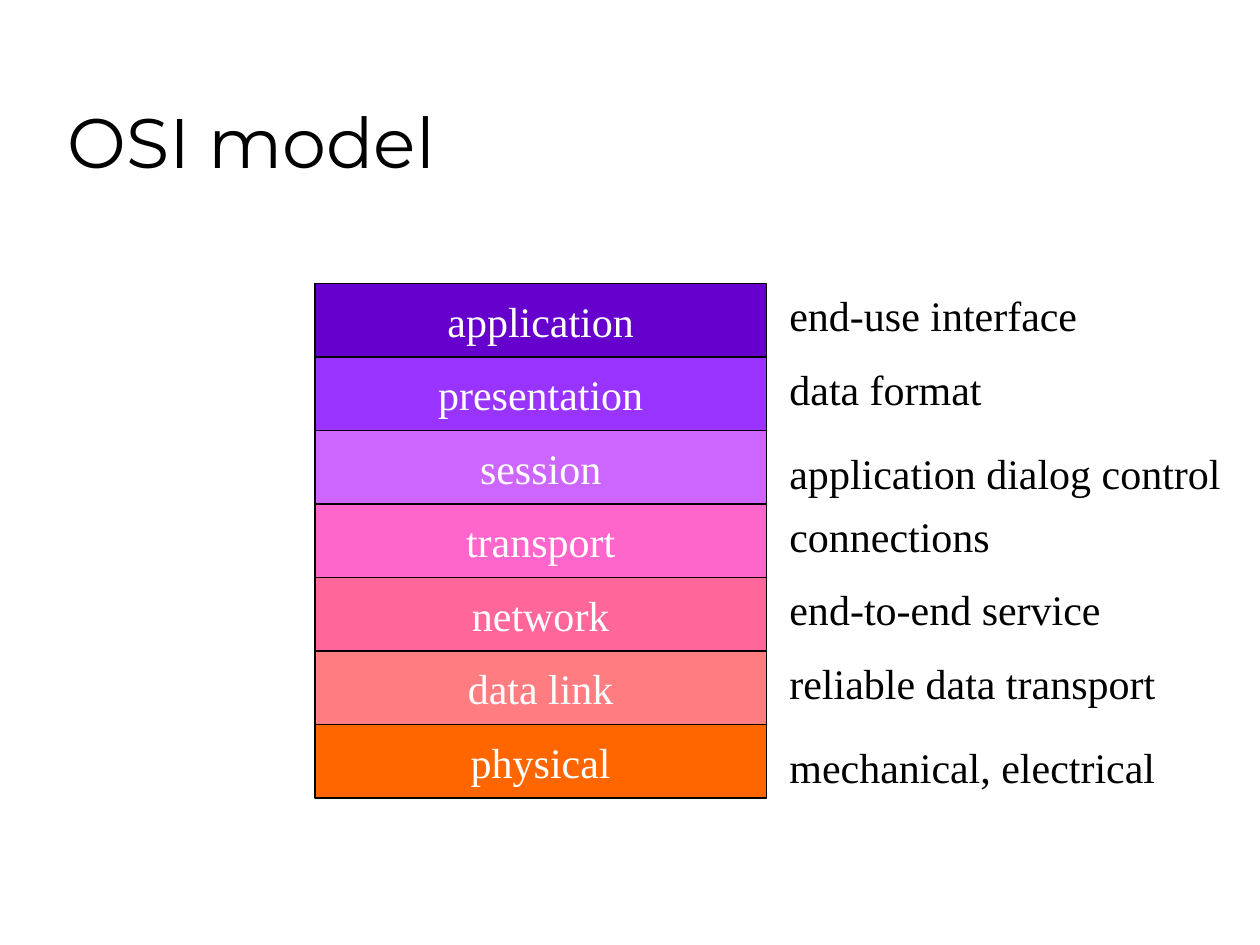
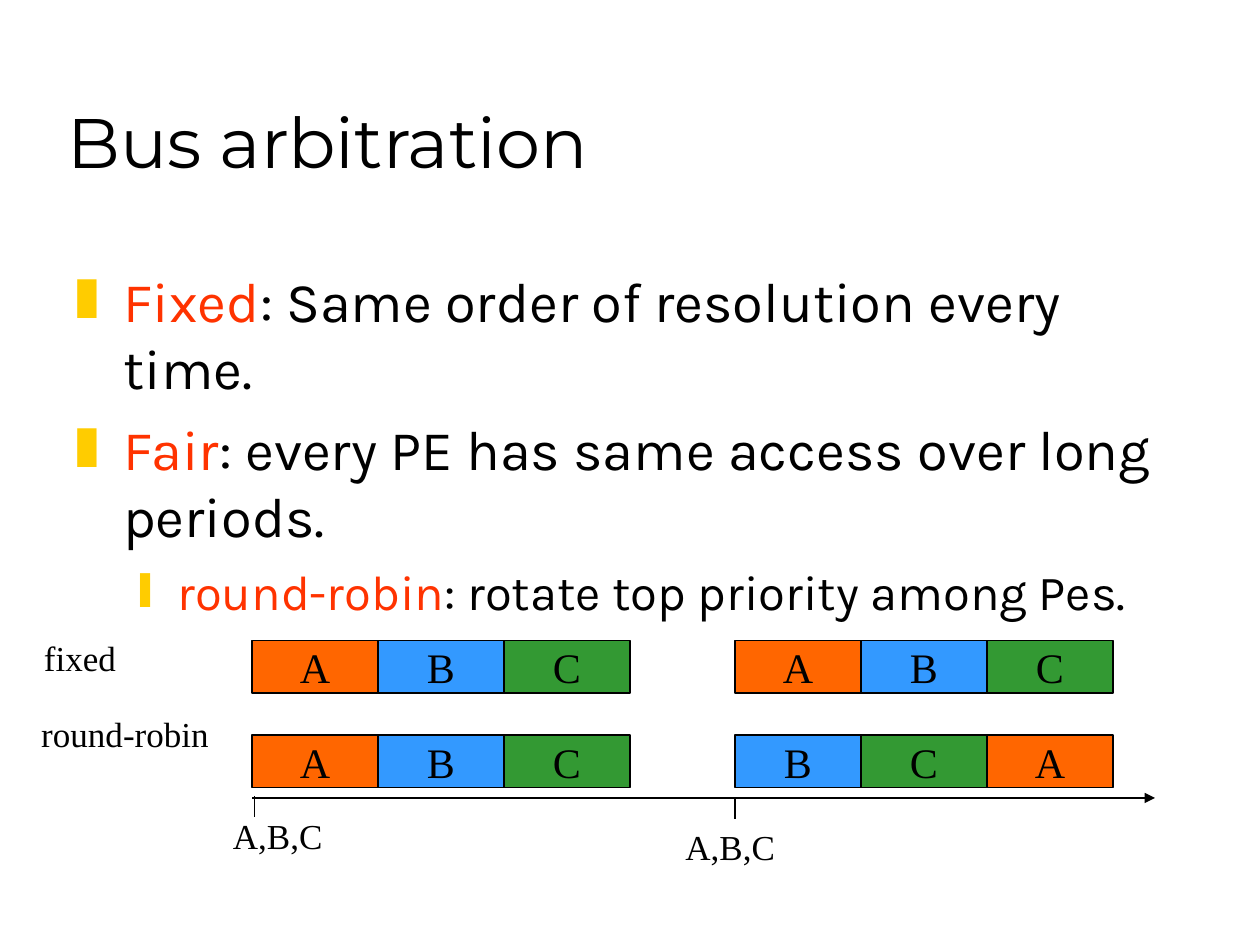
from collections import namedtuple

from lxml.etree import SubElement
from pptx import Presentation
from pptx.dml.color import RGBColor
from pptx.enum.shapes import MSO_CONNECTOR, MSO_SHAPE
from pptx.enum.text import MSO_ANCHOR, PP_ALIGN
from pptx.oxml.ns import qn
from pptx.util import Inches, Pt

Box = namedtuple("Box", "left top width height")

COLUMNS_PER_INCH = 12
COLORS = {
    "ink": "000000",
    "paper": "FFFFFF",
    "term": "FF3300",
    "bullet": "FFCC00",
    "application": "6600CC",
    "presentation": "9933FF",
    "session": "CC66FF",
    "transport": "FF66CC",
    "network": "FF6699",
    "data link": "FF7C80",
    "physical": "FF6600",
    "A": "FF6600",
    "B": "3399FF",
    "C": "339933",
}
TITLE_FONT, BODY_FONT, DIAGRAM_FONT = "Montserrat", "Karla", "Times New Roman"
TITLE_BOX = Box(5.25, 3, 102, 15)

Layer = namedtuple("Layer", "name role role_width drop")
LAYERS = [
    Layer("application", "end-use interface", 31, 0),
    Layer("presentation", "data format", 22, 0),
    Layer("session", "application dialog control", 45, 1),
    Layer("transport", "connections", 23, 0),
    Layer("network", "end-to-end service", 33, 0),
    Layer("data link", "reliable data transport", 38, 0),
    Layer("physical", "mechanical, electrical", 38, 1),
]

Level = namedtuple("Level", "size before margin hanging bullet")
LEVELS = [Level(32, 8, 0.38, 0.38, "❚"), Level(28, 7, 0.81, 0.31, "❙")]
POLICIES = [
    (0, "Fixed", ": Same order of resolution every time."),
    (0, "Fair", ": every PE has same access over long periods."),
    (1, "round-robin", ": rotate top priority among Pes."),
]

Schedule = namedtuple("Schedule", "name label_box rounds")
SCHEDULES = [
    Schedule("fixed", Box(-21, -1, 10, 5.25), ["ABC", "ABC"]),
    Schedule("round-robin", Box(-21.25, -2.75, 19, 5.25), ["ABC", "BCA"]),
]
ROUND_STEP = 46


def grid(count):
    """Turn a number of grid columns or rows into a length."""
    return Inches(count / COLUMNS_PER_INCH)


def color(name):
    """Look up a named colour."""
    return RGBColor.from_string(COLORS[name])


def add_run(paragraph, text, font_name, size, color_name):
    """Append one styled run to a paragraph."""
    run = paragraph.add_run()
    run.text = text
    run.font.name = font_name
    run.font.size = Pt(size)
    run.font.color.rgb = color(color_name)


def add_text_box(slide, box):
    """Add an empty wrapping text box and return its frame."""
    frame = slide.shapes.add_textbox(*map(grid, box)).text_frame
    frame.word_wrap = True
    return frame


def add_label(slide, box, text, size):
    """Add a one-line diagram label."""
    frame = add_text_box(slide, box)
    add_run(frame.paragraphs[0], text, DIAGRAM_FONT, size, "ink")


def add_block(slide, box, name, text_color):
    """Add an outlined block filled with the colour of its name."""
    shape = slide.shapes.add_shape(MSO_SHAPE.RECTANGLE, *map(grid, box))
    shape.shadow.inherit = False
    shape.fill.solid()
    shape.fill.fore_color.rgb = color(name)
    shape.line.color.rgb = color("ink")
    shape.line.width = Pt(0.75)
    frame = shape.text_frame
    frame.word_wrap = False
    frame.vertical_anchor = MSO_ANCHOR.MIDDLE
    paragraph = frame.paragraphs[0]
    paragraph.alignment = PP_ALIGN.CENTER
    add_run(paragraph, name, DIAGRAM_FONT, 24, text_color)


def add_line(slide, left, top, width, height, arrow=False):
    """Add a thin straight line, with an arrowhead if asked."""
    ends = map(grid, (left, top, left + width, top + height))
    line = slide.shapes.add_connector(MSO_CONNECTOR.STRAIGHT, *ends)
    line.line.color.rgb = color("ink")
    line.line.width = Pt(0.75)
    properties = line._element.spPr
    if arrow:
        SubElement(properties.find(qn("a:ln")), qn("a:tailEnd"), type="triangle")
    SubElement(properties, qn("a:effectLst"))


def add_title(slide, box, text):
    """Add the slide title at the foot of its box."""
    frame = add_text_box(slide, box)
    frame.vertical_anchor = MSO_ANCHOR.BOTTOM
    add_run(frame.paragraphs[0], text, TITLE_FONT, 40, "ink")


def add_layer_stack(slide, box):
    """Stack the network layers with the role of each beside it."""
    height = box.height / len(LAYERS)
    for row, layer in enumerate(LAYERS):
        top = box.top + row * height
        add_block(slide, Box(box.left, top, box.width, height), layer.name, "paper")
        role_box = Box(box.left + box.width + 1, top + layer.drop, layer.role_width, 6)
        add_label(slide, role_box, layer.role, 24)


def set_bullet(paragraph, level):
    """Give a paragraph the hanging bullet of its level."""
    properties = paragraph._p.get_or_add_pPr()
    properties.set("marL", str(Inches(level.margin)))
    properties.set("indent", str(-Inches(level.hanging)))
    bullet_color = SubElement(properties, qn("a:buClr"))
    SubElement(bullet_color, qn("a:srgbClr"), val=COLORS["bullet"])
    SubElement(properties, qn("a:buFont"), typeface=DIAGRAM_FONT)
    SubElement(properties, qn("a:buChar"), char=level.bullet)


def add_policy_list(slide, box):
    """List the arbitration policies with highlighted terms."""
    frame = add_text_box(slide, box)
    for index, (depth, term, meaning) in enumerate(POLICIES):
        paragraph = frame.add_paragraph() if index else frame.paragraphs[0]
        level = LEVELS[depth]
        paragraph.level = depth
        set_bullet(paragraph, level)
        if index:
            paragraph.space_before = Pt(level.before)
        add_run(paragraph, term, BODY_FONT, level.size, "term")
        add_run(paragraph, meaning, BODY_FONT, level.size, "ink")


def add_schedules(slide, box):
    """Draw the grant order of each policy over two rounds."""
    block_width, block_height, row_step = 12, 5, 9
    for row, schedule in enumerate(SCHEDULES):
        top = box.top + row * row_step
        offset = schedule.label_box
        label_box = offset._replace(left=box.left + offset.left, top=top + offset.top)
        add_label(slide, label_box, schedule.name, 20)
        for number, order in enumerate(schedule.rounds):
            start = box.left + number * ROUND_STEP
            for position, name in enumerate(order):
                left = start + position * block_width
                add_block(slide, Box(left, top, block_width, block_height), name, "ink")


def add_time_axis(slide, box):
    """Draw the time arrow with a tick and requests at each round."""
    add_line(slide, box.left, box.top, box.width, 0, arrow=True)
    requests = [(0.25, -0.15, -3, 1), (ROUND_STEP, 0, -5.9, 2)]
    for tick, rise, shift, drop in requests:
        add_line(slide, box.left + tick, box.top + rise, 0, 2)
        start = box.left + round(tick)
        add_label(slide, Box(start + shift, box.top + drop, 12, 5.25), "A,B,C", 20)


def add_slide(presentation, title):
    """Add a blank slide with a title."""
    slide = presentation.slides.add_slide(presentation.slide_layouts[6])
    add_title(slide, TITLE_BOX, title)
    return slide


def main():
    """Build both slides and save them."""
    presentation = Presentation()
    presentation.slide_width = grid(120)
    presentation.slide_height = grid(90)

    model_slide = add_slide(presentation, "OSI model")
    add_layer_stack(model_slide, Box(30, 27, 43, 49))

    bus_slide = add_slide(presentation, "Bus arbitration")
    add_policy_list(bus_slide, Box(6, 24.75, 107.25, 54.75))
    add_time_axis(bus_slide, Box(24, 76, 86, 7))
    add_schedules(bus_slide, Box(24, 61, 82, 14))

    presentation.save("out.pptx")


if __name__ == "__main__":
    main()
